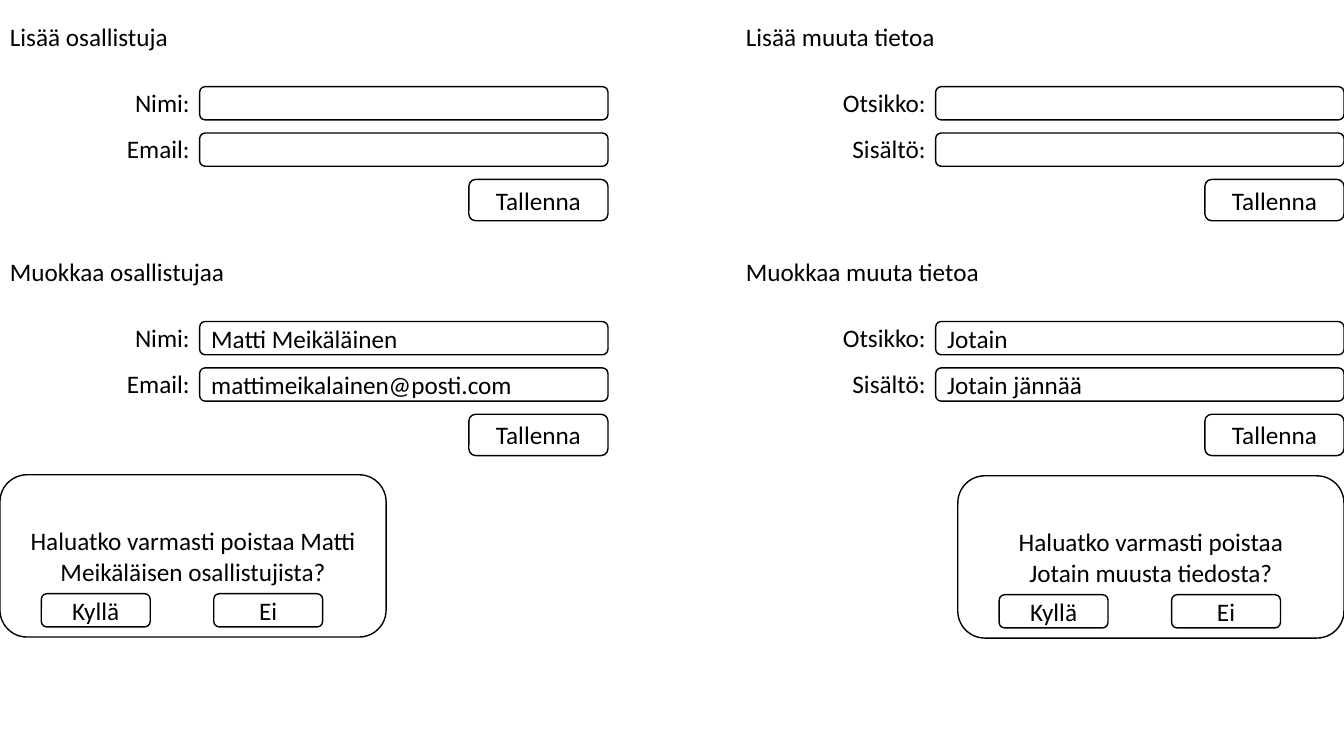
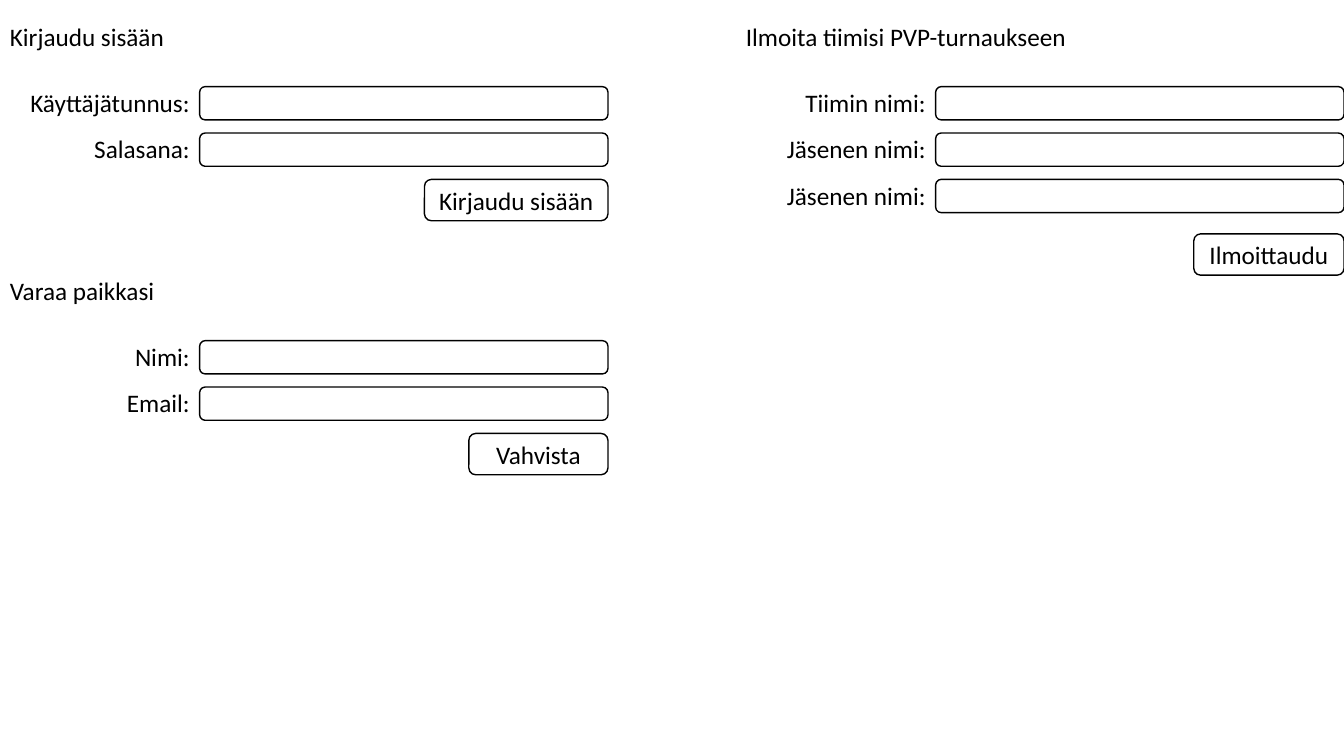
from pptx import Presentation
from pptx.dml.color import RGBColor
from pptx.enum.shapes import MSO_SHAPE
from pptx.enum.text import MSO_ANCHOR, PP_ALIGN
from pptx.util import Emu, Pt

ROUNDED = MSO_SHAPE.ROUNDED_RECTANGLE
MIDDLE = MSO_ANCHOR.MIDDLE
LEFT, CENTER, RIGHT = PP_ALIGN.LEFT, PP_ALIGN.CENTER, PP_ALIGN.RIGHT

COLORS = {"paper": "FFFFFF", "ink": "000000"}
BLANK_LAYOUT = 6
SLIDE_W, SLIDE_H = 1333, 750

FORM_W = 603
LABEL_W = 198
FIELD_H = 33
LABEL_H = 57
HEADING_H = 72
ROWS_TOP = 73
ROW_STEP = 46
BUTTON_H = 41
DIALOG_W, DIALOG_H = 383, 161

LEFT_FORM = 0
RIGHT_FORM = SLIDE_W - FORM_W


def px(length):
    """Convert px, 100 to the inch, to EMU."""
    return Emu(length * 9144)


def color(name):
    return RGBColor.from_string(COLORS[name])


class FormDeck:
    """Wireframe style together with the slide being drawn."""

    font_name = "Calibri"
    font_size = Pt(18)
    line_width = Pt(1)

    def __init__(self):
        self.deck = Presentation()
        self.deck.slide_width, self.deck.slide_height = px(SLIDE_W), px(SLIDE_H)
        self.slide = None

    def new_slide(self):
        layout = self.deck.slide_layouts[BLANK_LAYOUT]
        self.slide = self.deck.slides.add_slide(layout)

    def set_text(self, shape, text, align):
        """Set the text of a shape; each line becomes a paragraph."""
        frame = shape.text_frame
        frame.word_wrap = True
        frame.vertical_anchor = MIDDLE
        frame.text = text
        for paragraph in frame.paragraphs:
            paragraph.alignment = align
            paragraph.font.name = self.font_name
            paragraph.font.size = self.font_size
            paragraph.font.color.rgb = color("ink")

    def text(self, x, y, w, h, text, align=LEFT):
        box = self.slide.shapes.add_textbox(px(x), px(y), px(w), px(h))
        self.set_text(box, text, align)

    def rounded_box(self, x, y, w, h, text="", align=CENTER):
        box = self.slide.shapes.add_shape(ROUNDED, px(x), px(y), px(w), px(h))
        box.shadow.inherit = False
        box.fill.solid()
        box.fill.fore_color.rgb = color("paper")
        box.line.color.rgb = color("ink")
        box.line.width = self.line_width
        if text:
            self.set_text(box, text, align)

    def field(self, x, y, label, value):
        self.text(x, y, LABEL_W, LABEL_H, label, RIGHT)
        self.rounded_box(x + LABEL_W, y + (LABEL_H - FIELD_H + 2) // 2,
                         FORM_W - LABEL_W, FIELD_H, value, LEFT)

    def form(self, x, y, heading, fields, button, button_w=138, height=219):
        """Draw a heading, (label, value) rows and a button at bottom right."""
        self.text(x, y, FORM_W, HEADING_H, heading)
        for row, (label, value) in enumerate(fields):
            self.field(x, y + ROWS_TOP + row * ROW_STEP, label, value)
        self.rounded_box(x + FORM_W - button_w, y + height - BUTTON_H,
                         button_w, BUTTON_H, button)

    def dialog(self, x, y, question):
        self.rounded_box(x, y, DIALOG_W, DIALOG_H, question)
        for offset, answer in ((41, "Kyllä"), (212, "Ei")):
            self.rounded_box(x + offset, y + 118, 108, FIELD_H, answer)


def draw_editing(deck):
    deck.new_slide()
    deck.form(LEFT_FORM, 0, "Lisää osallistuja",
              [("Nimi:", ""), ("Email:", "")], "Tallenna")
    deck.form(LEFT_FORM, 233, "Muokkaa osallistujaa",
              [("Nimi:", "Matti Meikäläinen"),
               ("Email:", "mattimeikalainen@posti.com")], "Tallenna")
    deck.dialog(0, 471,
                "Haluatko varmasti poistaa Matti Meikäläisen osallistujista?")
    deck.form(RIGHT_FORM, 0, "Lisää muuta tietoa",
              [("Otsikko:", ""), ("Sisältö:", "")], "Tallenna")
    deck.form(RIGHT_FORM, 233, "Muokkaa muuta tietoa",
              [("Otsikko:", "Jotain"), ("Sisältö:", "Jotain jännää")],
              "Tallenna")
    deck.dialog(SLIDE_W - DIALOG_W, 472,
                "Haluatko varmasti poistaa\nJotain muusta tiedosta?")


def draw_registration(deck):
    deck.new_slide()
    deck.form(LEFT_FORM, 0, "Kirjaudu sisään",
              [("Käyttäjätunnus:", ""), ("Salasana:", "")],
              "Kirjaudu sisään", button_w=182)
    deck.form(LEFT_FORM, 252, "Varaa paikkasi",
              [("Nimi:", ""), ("Email:", "")], "Vahvista")
    deck.form(RIGHT_FORM, 0, "Ilmoita tiimisi PVP-turnaukseen",
              [("Tiimin nimi:", ""), ("Jäsenen nimi:", ""),
               ("Jäsenen nimi:", "")],
              "Ilmoittaudu", button_w=149, height=273)


def main():
    forms = FormDeck()
    draw_editing(forms)
    draw_registration(forms)
    forms.deck.save("out.pptx")


if __name__ == "__main__":
    main()
